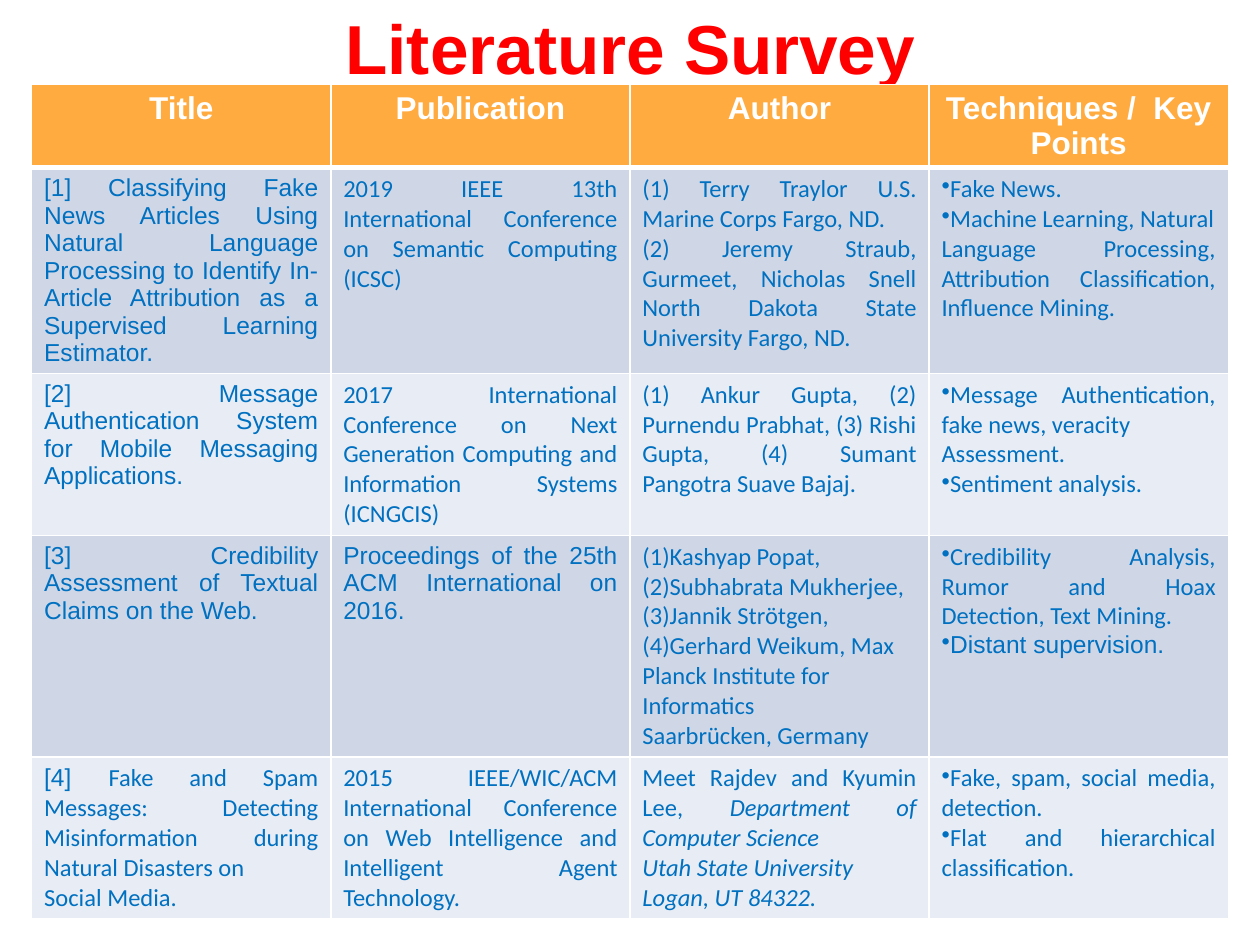
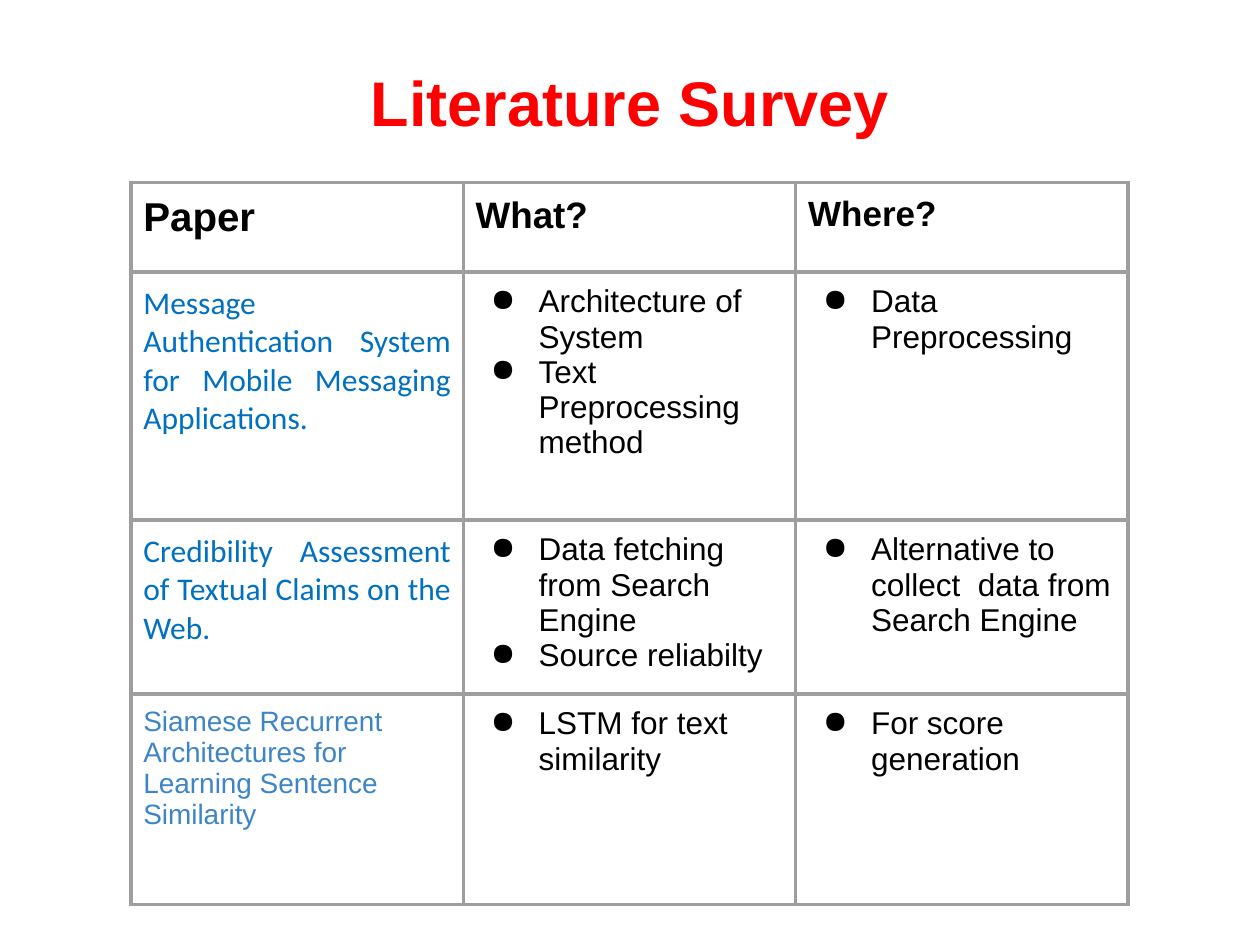
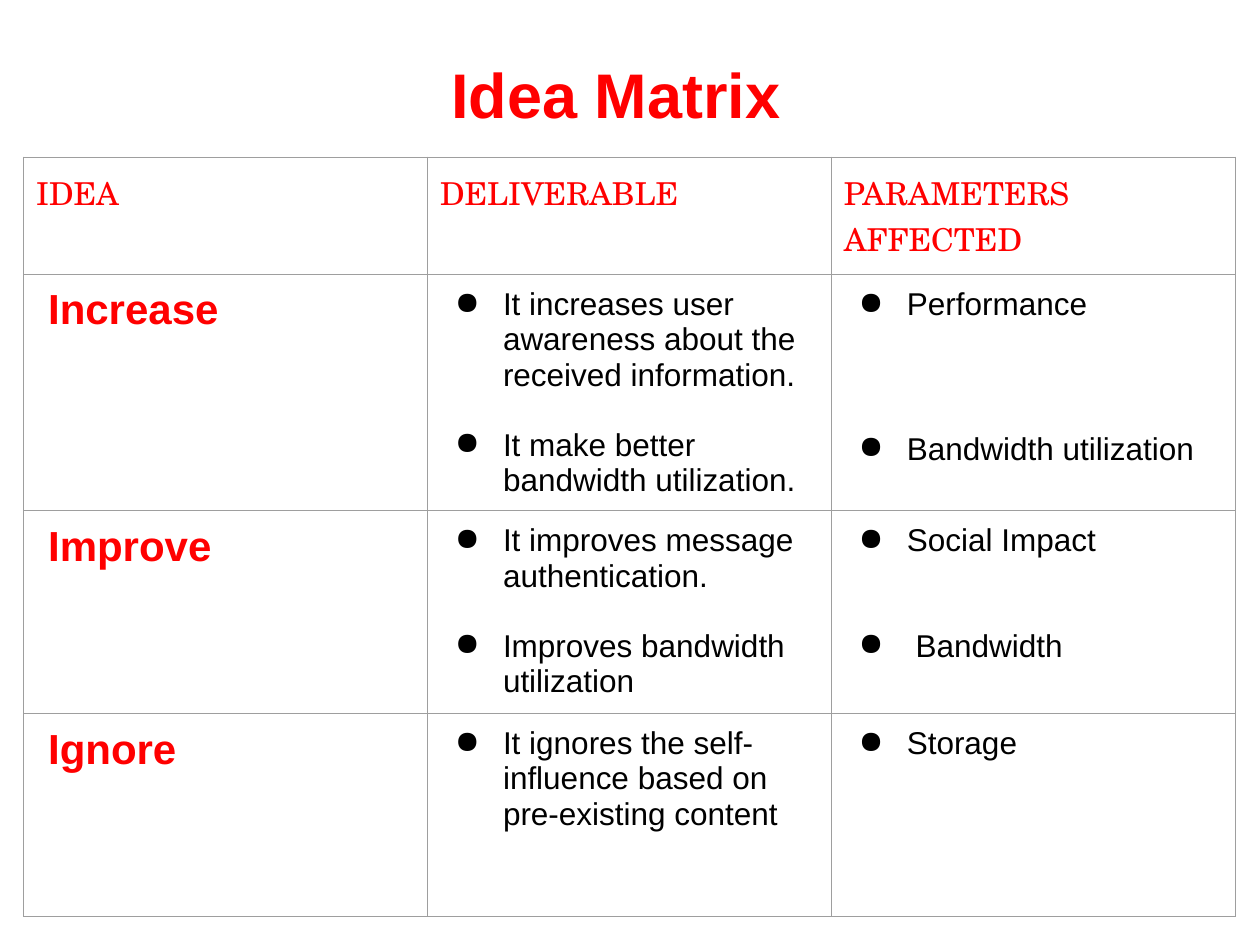
"""Build three slides: two literature survey tables and an idea matrix."""
from dataclasses import dataclass, replace

from pptx import Presentation
from pptx.dml.color import RGBColor
from pptx.enum.text import MSO_ANCHOR, MSO_AUTO_SIZE, PP_ALIGN as Align
from pptx.oxml.ns import qn
from pptx.util import Cm, Pt
from lxml.etree import SubElement

RED = RGBColor(0xFF, 0x00, 0x00)
BLACK = RGBColor(0x00, 0x00, 0x00)
WHITE = RGBColor(0xFF, 0xFF, 0xFF)
BLUE = RGBColor(0x00, 0x70, 0xC0)
SKY_BLUE = RGBColor(0x3D, 0x85, 0xC6)
ORANGE = RGBColor(0xFF, 0xAB, 0x40)
BAND_DARK = RGBColor(0xCF, 0xD7, 0xE7)
BAND_LIGHT = RGBColor(0xE8, 0xEC, 0xF4)
GREY = RGBColor(0x9E, 0x9E, 0x9E)


@dataclass(frozen=True)
class Style:
    size: float
    color: RGBColor
    font: str = "Arial"
    bold: bool = False
    italic: bool = False


@dataclass(frozen=True)
class Line:
    text: str
    style: Style
    align: Align = Align.LEFT
    bullet: str = ""
    margin: float = 0
    hanging: float = 0
    before: float = 0
    tail: str = ""
    tail_style: Style = None


@dataclass(frozen=True)
class Grid:
    line_color: RGBColor
    line_width: float
    header_width: float
    padding: float
    header_fill: RGBColor = None
    bands: tuple = (None,)


SURVEY_HEAD = Style(18, WHITE, bold=True)
SURVEY_ARIAL = Style(14, BLUE)
SURVEY_CALIBRI = Style(14, BLUE, "Calibri")
SURVEY_ITALIC = replace(SURVEY_CALIBRI, italic=True)
PAPER = Style(18, BLUE, "Calibri")
POINT = Style(18, BLACK)
MATRIX_HEAD = Style(18, RED, "TeX Gyre Schola")
IDEA = Style(24, RED, bold=True)

BANDED_GRID = Grid(WHITE, 1, 3, 0.13, ORANGE, (BAND_DARK, BAND_LIGHT))
PAPER_GRID = Grid(GREY, 2.25, 2.25, 0.25)
MATRIX_GRID = Grid(GREY, 0.75, 0.75, 0.25)


class Deck:
    """Holds the presentation, its shared style and the current slide."""

    def __init__(self):
        self.presentation = Presentation()
        self.presentation.slide_width = Cm(25.4)
        self.presentation.slide_height = Cm(19.05)
        self.slide = None

    def add_slide(self):
        layout = self.presentation.slide_layouts[5]
        self.slide = self.presentation.slides.add_slide(layout)

    def title(self, text, left, top, width, height, size=36):
        shape = self.slide.shapes.title
        shape.left, shape.top = Cm(left), Cm(top)
        shape.width, shape.height = Cm(width), Cm(height)
        frame = shape.text_frame
        frame.auto_size = MSO_AUTO_SIZE.NONE
        frame.vertical_anchor = MSO_ANCHOR.MIDDLE
        self.fill_text(frame, [Line(text, Style(size, RED, bold=True), Align.CENTER)])

    def table(self, grid, left, top, column_width, heights, rows):
        count = len(rows[0])
        shape = self.slide.shapes.add_table(
            len(rows), count, Cm(left), Cm(top),
            Cm(column_width * count), Cm(sum(heights)))
        table = shape.table
        table.first_row = table.horz_banding = False
        for column in table.columns:
            column.width = Cm(column_width)
        for index, (height, lines_by_cell) in enumerate(zip(heights, rows)):
            table.rows[index].height = Cm(height)
            for cell, lines in zip(table.rows[index].cells, lines_by_cell):
                self.cell(cell, grid, index, lines)

    def cell(self, cell, grid, row, lines):
        cell.margin_left = cell.margin_right = Cm(0.25)
        cell.margin_top = cell.margin_bottom = Cm(grid.padding)
        for side in ("lnL", "lnR", "lnT", "lnB"):
            under_header = (row, side) in ((0, "lnB"), (1, "lnT"))
            width = grid.header_width if under_header else grid.line_width
            self.border(cell, side, grid.line_color, width)
        fill = grid.bands[(row - 1) % len(grid.bands)] if row else grid.header_fill
        if fill is None:
            cell.fill.background()
        else:
            cell.fill.solid()
            cell.fill.fore_color.rgb = fill
        self.fill_text(cell.text_frame, lines)

    def border(self, cell, side, color, width):
        properties = cell._tc.get_or_add_tcPr()
        line = SubElement(properties, qn(f"a:{side}"), w=str(Pt(width)))
        fill = SubElement(line, qn("a:solidFill"))
        SubElement(fill, qn("a:srgbClr"), val=str(color))

    def fill_text(self, frame, lines):
        for index, line in enumerate(lines):
            paragraph = frame.add_paragraph() if index else frame.paragraphs[0]
            paragraph.text = line.text
            paragraph.alignment = line.align
            paragraph.space_before = Pt(line.before)
            self.style_run(paragraph.runs[0], line.style)
            if line.tail:
                run = paragraph.add_run()
                run.text = line.tail
                self.style_run(run, line.tail_style)
            self.indent(paragraph, line)

    def style_run(self, run, style):
        font = run.font
        font.size, font.name = Pt(style.size), style.font
        font.bold, font.italic = style.bold, style.italic
        font.color.rgb = style.color

    def indent(self, paragraph, line):
        properties = paragraph._p.get_or_add_pPr()
        properties.set("marL", str(Cm(line.margin)))
        properties.set("indent", str(Cm(-line.hanging)))
        if line.bullet:
            color = SubElement(properties, qn("a:buClr"))
            SubElement(color, qn("a:srgbClr"), val=str(line.style.color))
            SubElement(properties, qn("a:buChar"), char=line.bullet)
        else:
            SubElement(properties, qn("a:buNone"))


def justified(*texts, style=SURVEY_CALIBRI):
    return [Line(text, style, Align.JUSTIFY) for text in texts]


def key_point(text, style=SURVEY_CALIBRI):
    return Line(text, style, Align.JUSTIFY, "•", hanging=0.25)


def points(*texts, gap=0):
    return [Line(text, POINT, bullet="●", margin=1.27, hanging=0.97,
                 before=gap if index else 0)
            for index, text in enumerate(texts)]


def idea(text):
    return [Line(text, IDEA, margin=0.24)]


def literature_survey(deck):
    deck.add_slide()
    deck.title("Literature Survey", 1.7, 0, 22.02, 1.9, 39.6)
    header = [[Line(text, SURVEY_HEAD, Align.CENTER)] for text in
              ("Title", "Publication", "Author", "Techniques /  Key Points")]
    rows = [
        header,
        [justified("[1] Classifying Fake News Articles Using Natural Language "
                   "Processing to Identify In-Article Attribution as a "
                   "Supervised Learning Estimator.", style=SURVEY_ARIAL),
         justified("2019 IEEE 13th International Conference on Semantic "
                   "Computing (ICSC)"),
         justified("(1) Terry Traylor U.S. Marine Corps Fargo, ND.",
                   "(2) Jeremy Straub, Gurmeet, Nicholas Snell North Dakota "
                   "State University Fargo, ND."),
         [key_point("Fake News."),
          key_point("Machine Learning, Natural"),
          *justified("Language Processing, Attribution Classification, "
                     "Influence Mining.")]],
        [justified("[2] Message Authentication System for Mobile Messaging "
                   "Applications.", style=SURVEY_ARIAL),
         justified("2017 International Conference on Next Generation Computing "
                   "and Information Systems (ICNGCIS)"),
         justified("(1) Ankur Gupta, (2) Purnendu Prabhat, (3) Rishi Gupta, "
                   "(4) Sumant Pangotra Suave Bajaj."),
         [key_point("Message Authentication, fake news, veracity"),
          *justified("Assessment."),
          key_point("Sentiment analysis.")]],
        [justified("[3] Credibility Assessment of Textual Claims on the Web.",
                   style=SURVEY_ARIAL),
         justified("Proceedings of the 25th ACM International on 2016.",
                   style=SURVEY_ARIAL),
         [Line("(1)Kashyap Popat, (2)Subhabrata Mukherjee, (3)Jannik Strötgen, "
               "(4)Gerhard Weikum, Max Planck Institute for Informatics",
               SURVEY_CALIBRI),
          Line("Saarbrücken, Germany", SURVEY_CALIBRI)],
         [key_point("Credibility Analysis, Rumor and Hoax Detection, "
                    "Text Mining."),
          key_point("Distant supervision.", SURVEY_ARIAL)]],
        [[Line("[4] ", SURVEY_ARIAL, Align.JUSTIFY,
               tail="Fake and Spam Messages: Detecting Misinformation during "
                    "Natural Disasters on", tail_style=SURVEY_CALIBRI),
          *justified("Social Media.")],
         justified("2015 IEEE/WIC/ACM International Conference on Web "
                   "Intelligence and Intelligent Agent Technology."),
         [Line("Meet Rajdev and Kyumin Lee, ", SURVEY_CALIBRI, Align.JUSTIFY,
               tail="Department of Computer Science", tail_style=SURVEY_ITALIC),
          *justified("Utah State University", "Logan, UT 84322.",
                     style=SURVEY_ITALIC)],
         [key_point("Fake, spam, social media, detection."),
          key_point("Flat and hierarchical classification.")]],
    ]
    deck.table(BANDED_GRID, 0.64, 1.7, 6.03, (1.55, 3.86, 3.25, 3.78, 2.82), rows)


def paper_usage(deck):
    deck.add_slide()
    deck.title("Literature Survey", 1.27, 0.76, 22.86, 2.57)
    header = [[Line(text, Style(size, BLACK, bold=True))] for text, size in
              (("Paper", 23), ("What?", 21), ("Where?", 20))]
    rows = [
        header,
        [justified("Message Authentication System for Mobile Messaging "
                   "Applications.", style=PAPER),
         [*points("Architecture of System", "Text Preprocessing"),
          Line("method", POINT, margin=1.27)],
         points("Data Preprocessing")],
        [justified("Credibility Assessment of Textual Claims on the Web.",
                   style=PAPER),
         points("Data fetching from Search Engine", "Source reliabilty"),
         points("Alternative to collect  data from Search Engine")],
        [[Line("Siamese Recurrent Architectures for Learning Sentence "
               "Similarity", Style(16, SKY_BLUE))],
         points("LSTM for text similarity"),
         points("For score generation")],
    ]
    deck.table(PAPER_GRID, 2.64, 3.68, 6.7, (1.8, 5, 3.51, 4.24), rows)


def idea_matrix(deck):
    deck.add_slide()
    deck.title("Idea Matrix", 0.99, 0.3, 22.86, 3.18)
    header = [[Line(text, MATRIX_HEAD)] for text in
              ("IDEA", "DELIVERABLE", "PARAMETERS AFFECTED")]
    rows = [
        header,
        [idea("Increase"),
         points("It increases user awareness about the received information.",
                "It make better bandwidth utilization.", gap=20),
         points("Performance", "Bandwidth utilization", gap=62.5)],
        [idea("Improve"),
         points("It improves message authentication.",
                "Improves bandwidth utilization", gap=20),
         points("Social Impact", " Bandwidth", gap=40)],
        [idea("Ignore"),
         points("It ignores the self-influence based on pre-existing content"),
         points("Storage")],
    ]
    deck.table(MATRIX_GRID, 0.48, 3.17, 8.14, (1.07, 4.67, 4.09, 4.09), rows)


def main():
    deck = Deck()
    literature_survey(deck)
    paper_usage(deck)
    idea_matrix(deck)
    deck.presentation.save("out.pptx")


if __name__ == "__main__":
    main()
